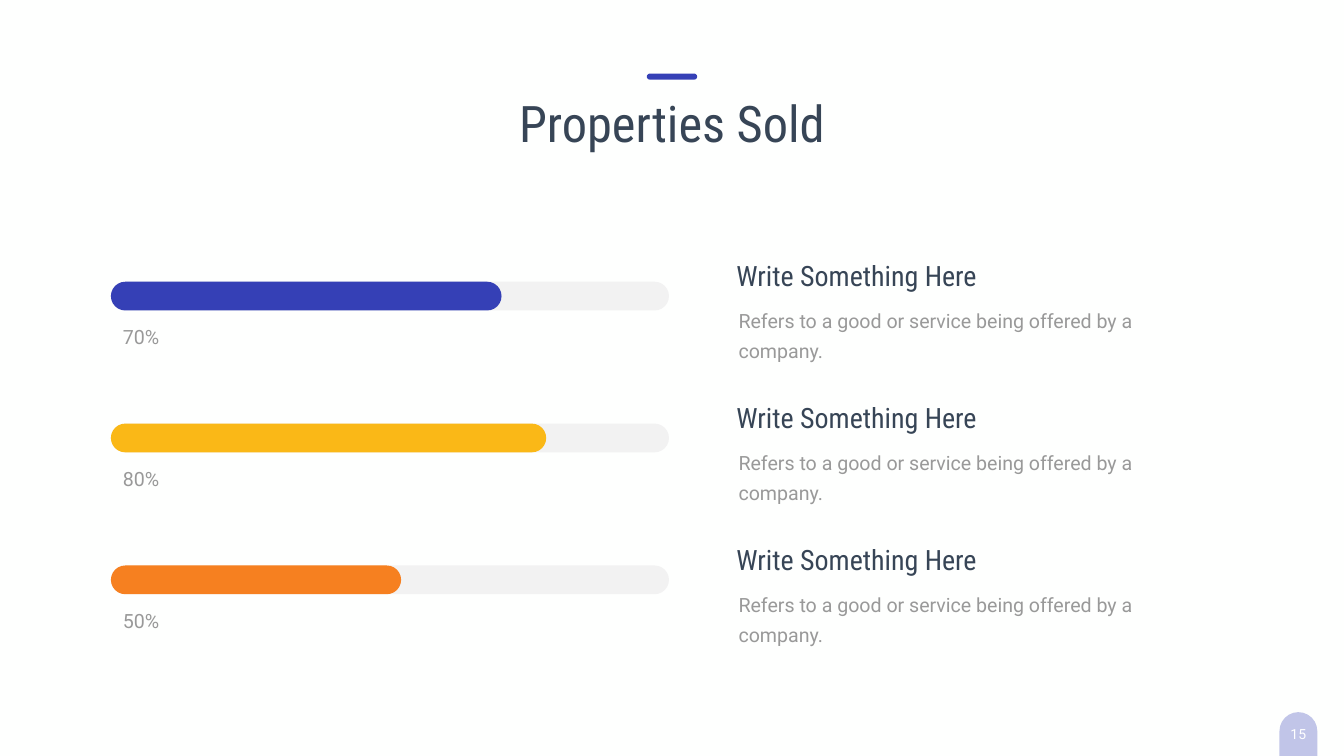
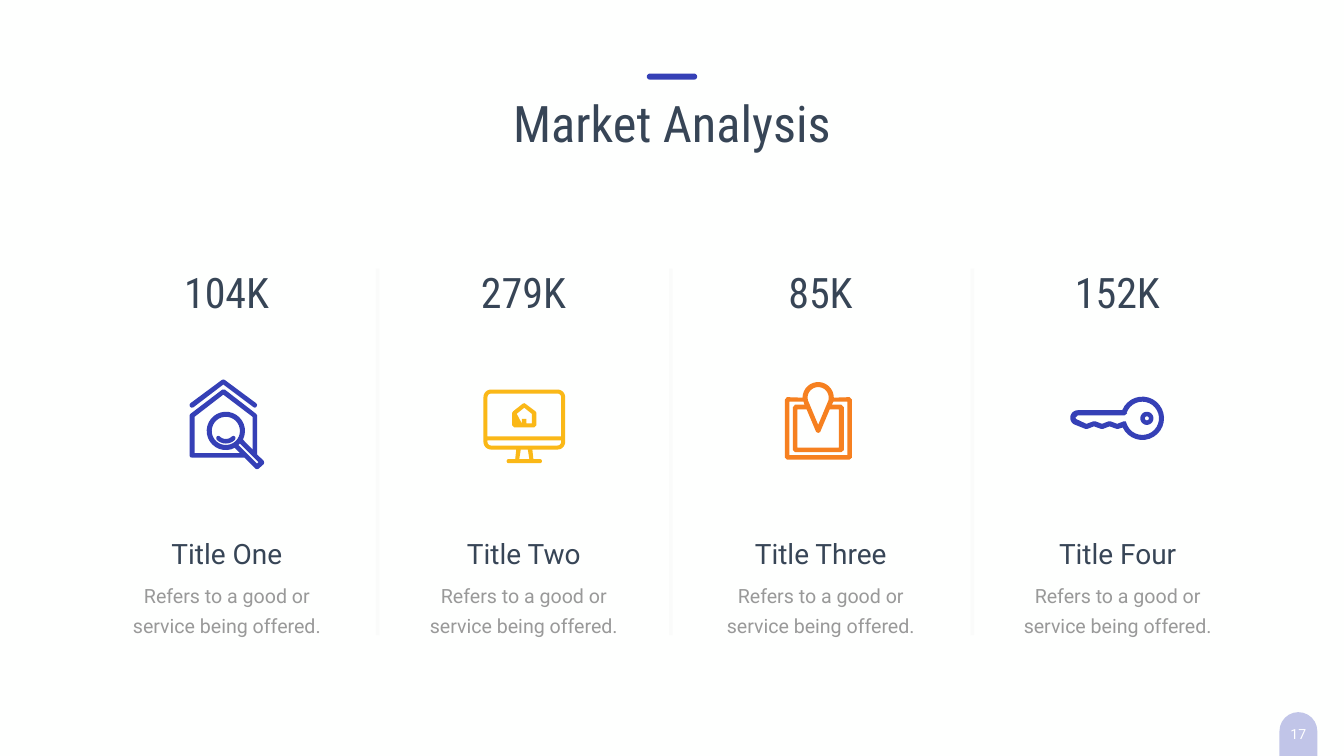
from math import cos, radians, sin

from lxml.etree import SubElement
from pptx import Presentation
from pptx.dml.color import RGBColor
from pptx.enum.shapes import MSO_CONNECTOR as Connector, MSO_SHAPE as Shape
from pptx.enum.text import MSO_ANCHOR as Anchor, MSO_AUTO_SIZE as AutoSize, PP_ALIGN as Align
from pptx.oxml.ns import qn
from pptx.util import Inches, Pt

WIDTH, HEIGHT = 26.66, 15
COLORS = {
    "page": "FEFFFE", "ink": "374556", "muted": "999999", "track": "F2F2F2",
    "rule": "D9D9D9", "white": "FFFFFF",
    "blue": "3540B6", "yellow": "FAB817", "orange": "F68020",
}
BODY, CONDENSED = "Roboto", "Roboto Condensed"
BODY_STYLE = dict(size=28, color="muted", line=43, inset=(0.24, 0.12))
HEADING_STYLE = dict(size=40, color="ink")

# Properties Sold: rows of progress bars
BAR_LEFT, BAR_TOP, BAR_WIDTH, BAR_HEIGHT, BAR_PITCH = 2.2, 5.59, 11.07, 0.57, 2.815
BARS = [("70%", 0.7, "blue"), ("80%", 0.78, "yellow"), ("50%", 0.52, "orange")]

# Market Analysis: four columns
COLUMN_LEFT, COLUMN_TOP, COLUMN_WIDTH, COLUMN_PITCH = 2.35, 5.24, 4.3, 5.89
RULE_LEFTS = (7.49, 13.31, 19.29)


# Colours and transparency
def rgb(name):
    return RGBColor.from_string(COLORS[name])


def set_alpha(properties, percent):
    color = properties.find(".//" + qn("a:srgbClr"))
    SubElement(color, qn("a:alpha"), val=str(percent * 1000))


# Shared building blocks
def place(shape, box):
    shape.left, shape.top, shape.width, shape.height = map(Inches, box)


def paint(shape, color):
    shape.shadow.inherit = False
    shape.fill.solid()
    shape.fill.fore_color.rgb = rgb(color)
    shape.line.fill.background()


def write(shape, text, size, color, font=BODY, align=Align.LEFT, line=None,
          inset=(0.1, 0.05), wrap=True):
    frame = shape.text_frame
    frame.word_wrap = wrap
    frame.auto_size = AutoSize.SHAPE_TO_FIT_TEXT
    frame.vertical_anchor = Anchor.TOP
    frame.margin_left = frame.margin_right = Inches(inset[0])
    frame.margin_top = frame.margin_bottom = Inches(inset[1])
    paragraph = frame.paragraphs[0]
    paragraph.alignment = align
    if line:
        paragraph.line_spacing = Pt(line)
    run = paragraph.add_run()
    run.text = text
    run.font.size, run.font.name = Pt(size), font
    run.font.color.rgb = rgb(color)


def add_text(slide, text, box, **style):
    write(slide.shapes.add_textbox(*map(Inches, box)), text, **style)


def add_pill(slide, box, color):
    pill = slide.shapes.add_shape(Shape.ROUNDED_RECTANGLE, *map(Inches, box))
    pill.adjustments[0] = 0.5
    paint(pill, color)
    return pill


def add_rule(slide, x, top, bottom):
    rule = slide.shapes.add_connector(
        Connector.STRAIGHT, *map(Inches, (x, top, x, bottom)))
    rule.line.width = Pt(5)
    rule.line.color.rgb = rgb("rule")
    properties = rule._element.spPr
    set_alpha(properties, 10)
    SubElement(properties, qn("a:effectLst"))


def add_slide(presentation, title, number):
    """Start a slide with its page badge, title and accent bar."""
    slide = presentation.slides.add_slide(presentation.slide_layouts[5])
    badge = add_pill(slide, (WIDTH - 1.81, 14.66, 1.81, 0.75), "blue")
    badge.rotation = 90
    set_alpha(badge._element.spPr, 30)
    add_text(slide, number, (25.3, 14.3, 0.91, 0.54), size=20, color="white",
             align=Align.CENTER, inset=(0.2, 0.1), wrap=False)
    place(slide.shapes.title, ((WIDTH - 12.94) / 2, 1.77, 12.94, 1.31))
    write(slide.shapes.title, title, size=72, color="ink", font=CONDENSED,
          align=Align.CENTER)
    add_pill(slide, ((WIDTH - 1) / 2, 1.46, 1, 0.12), "blue")
    return slide


# Icons: each part is a list of closed contours, in inches from the icon's corner
def arc(x, y, radius, start, end):
    steps = max(4, round(abs(end - start) / 12))
    angles = [radians(start + (end - start) * i / steps) for i in range(steps + 1)]
    return [(x + radius * cos(a), y + radius * sin(a)) for a in angles]


def circle(x, y, radius):
    return arc(x, y, radius, 0, 360)


def house_icon():
    roof = [(0.08, 0.55), (0.67, 0.1), (1.27, 0.55), (1.3, 0.56), (1.33, 0.54),
            (1.34, 0.5), (1.32, 0.47), (0.7, 0.01), (0.67, 0), (0.64, 0.01),
            (0.02, 0.47), (0, 0.5), (0.01, 0.54), (0.04, 0.56)]
    outline = [(1.47, 1.61), (1.34, 1.49), (1.34, 0.71), (1.32, 0.68), (0.7, 0.2),
               (0.65, 0.2), (0.02, 0.68), (0, 0.71), (0, 1.5), (0.01, 1.54),
               (0.05, 1.55), (1.09, 1.55), (1.31, 1.77), (1.34, 1.78),
               (1.37, 1.77), (1.47, 1.68), (1.48, 1.65)]
    handle = [(0.97, 1.3), (1, 1.27), (1.37, 1.64), (1.34, 1.67)]
    room = [(0.1, 0.74), (0.67, 0.3), (1.25, 0.74), (1.25, 1.39),
            *arc(0.72, 1.02, 0.38, 27, -298), (1, 1.46), (0.1, 1.46)]
    smile = [*arc(0.72, 1.01, 0.26, 135, 45), *arc(0.87, 1.16, 0.04, 45, -135),
             *arc(0.72, 1.01, 0.17, 45, 135), *arc(0.57, 1.16, 0.04, -45, -225)]
    return [[roof], [outline, handle, room, circle(0.72, 1.02, 0.28)], [smile]]


def monitor_icon():
    outline = [*arc(0.15, 0.15, 0.15, 180, 270), *arc(1.47, 0.15, 0.15, 270, 360),
               *arc(1.47, 1.04, 0.15, 0, 90), (0.97, 1.19), (0.99, 1.38),
               *arc(1.12, 1.42, 0.04, -90, 90), *arc(0.5, 1.42, 0.04, 90, 270),
               (0.63, 1.38), (0.65, 1.19), *arc(0.15, 1.04, 0.15, 90, 180)]
    screen = [*arc(0.15, 0.15, 0.07, 180, 270), *arc(1.47, 0.15, 0.07, 270, 360),
              (1.54, 0.93), (0.08, 0.93)]
    chin = [(0.08, 1.01), (1.54, 1.01), *arc(1.47, 1.04, 0.07, 0, 90),
            *arc(0.15, 1.04, 0.07, 90, 180)]
    stand = [(0.91, 1.38), (0.71, 1.38), (0.74, 1.19), (0.88, 1.19)]
    home = [(0.57, 0.46), (0.59, 0.43), (0.78, 0.28), (0.81, 0.27), (0.83, 0.28),
            (1.03, 0.43), (1.05, 0.46), (1.05, 0.71), (1.01, 0.75), (0.61, 0.75),
            (0.57, 0.71)]
    door = [(0.66, 0.48), (0.81, 0.36), (0.96, 0.48), (0.96, 0.67), (0.85, 0.67),
            (0.85, 0.58), (0.76, 0.58), (0.76, 0.67)]
    return [[outline, screen, chin, stand], [home, door]]


def map_icon():
    outline = [(0, 0.35), (0.04, 0.3), *arc(0.66, 0.31, 0.31, 180, 360),
               (1.28, 0.3), (1.33, 0.35), (1.33, 1.5), (1.28, 1.54),
               (0.04, 1.54), (0, 1.5)]
    frame = [(1.24, 1.45), (0.09, 1.45), (0.09, 0.39), (0.37, 0.39), (0.39, 0.45),
             (0.2, 0.45), (0.16, 0.5), (0.16, 1.35), (0.2, 1.39), (1.12, 1.39),
             (1.17, 1.35), (1.17, 0.5), (1.12, 0.45), (0.93, 0.45), (0.96, 0.39),
             (1.24, 0.39)]
    sheet = [(0.62, 0.99), (0.66, 1.01), (0.7, 0.99), (0.89, 0.54), (1.07, 0.54),
             (1.07, 1.3), (0.25, 1.3), (0.25, 0.54), (0.43, 0.54)]
    pin = [*arc(0.66, 0.31, 0.21, 165, 375), (0.66, 0.85)]
    return [[outline, frame, sheet, pin]]


def key_icon():
    outline = [*arc(1.43, 0.43, 0.43, -158, 155), (0.95, 0.64), (0.92, 0.64),
               (0.78, 0.59), (0.65, 0.64), (0.61, 0.64), (0.47, 0.59),
               (0.34, 0.64), (0.3, 0.64), *arc(0.15, 0.42, 0.15, 120, 270)]
    inside = [(0.15, 0.37), (1.08, 0.37), (1.13, 0.33),
              *arc(1.43, 0.43, 0.33, -162, 164), (1.1, 0.49), (1.06, 0.49),
              (0.93, 0.54), (0.8, 0.49), (0.76, 0.49), (0.63, 0.54), (0.5, 0.49),
              (0.46, 0.49), (0.32, 0.54), (0.13, 0.45), (0.1, 0.42)]
    return [[outline, inside], [circle(1.52, 0.43, 0.13), circle(1.52, 0.43, 0.04)]]


def add_icon(slide, parts, left, top, color):
    for contours in parts:
        builder = None
        for contour in contours:
            points = [(Inches(x), Inches(y)) for x, y in contour]
            if builder is None:
                builder = slide.shapes.build_freeform(*points[0])
            else:
                builder.move_to(*points[0])
            builder.add_line_segments(points[1:], close=True)
        paint(builder.convert_to_shape(Inches(left), Inches(top)), color)


# Slide regions
def add_progress_row(slide, top, label, share, color):
    add_pill(slide, (BAR_LEFT, top, BAR_WIDTH, BAR_HEIGHT), "track")
    add_pill(slide, (BAR_LEFT, top, BAR_WIDTH * share, BAR_HEIGHT), color)
    add_text(slide, label, (BAR_LEFT, top + 0.61, 1.54, 0.79), **BODY_STYLE)
    add_text(slide, "Refers to a good or service being offered by a company.",
             (14.41, top + 0.29, 10.05, 0.79), **BODY_STYLE)
    add_text(slide, "Write Something Here", (14.51, top - 0.51, 5.48, 0.77),
             font=CONDENSED, **HEADING_STYLE)


def add_market_column(slide, left, top, figure, title, icon, offset, color):
    add_text(slide, title, (left, top + 5.35, COLUMN_WIDTH, 0.77),
             align=Align.CENTER, **HEADING_STYLE)
    add_text(slide, "Refers to a good or service being offered.",
             (left, top + 6.09, COLUMN_WIDTH, 1.39), align=Align.CENTER, **BODY_STYLE)
    add_text(slide, figure, (left + 0.6, top, 3.09, 1.11), size=60, color="ink",
             font=CONDENSED, align=Align.CENTER)
    add_icon(slide, icon, left + offset[0], top + offset[1], color)


# Slides
def build_properties_sold(presentation):
    slide = add_slide(presentation, "Properties Sold", "15")
    for row, bar in enumerate(BARS):
        add_progress_row(slide, BAR_TOP + row * BAR_PITCH, *bar)


def build_market_analysis(presentation):
    slide = add_slide(presentation, "Market Analysis", "17")
    columns = [
        ("104K", "Title One", house_icon(), (1.41, 2.29), "blue"),
        ("279K", "Title Two", monitor_icon(), (1.35, 2.49), "yellow"),
        ("85K", "Title Three", map_icon(), (1.44, 2.34), "orange"),
        ("152K", "Title Four", key_icon(), (1.21, 2.63), "blue"),
    ]
    for index, column in enumerate(columns):
        add_market_column(slide, COLUMN_LEFT + index * COLUMN_PITCH, COLUMN_TOP, *column)
    for x in RULE_LEFTS:
        add_rule(slide, x, 5.33, 12.6)


def main():
    presentation = Presentation()
    presentation.slide_width, presentation.slide_height = Inches(WIDTH), Inches(HEIGHT)
    background = presentation.slide_master.background.fill
    background.solid()
    background.fore_color.rgb = rgb("page")
    build_properties_sold(presentation)
    build_market_analysis(presentation)
    presentation.save("out.pptx")


if __name__ == "__main__":
    main()
